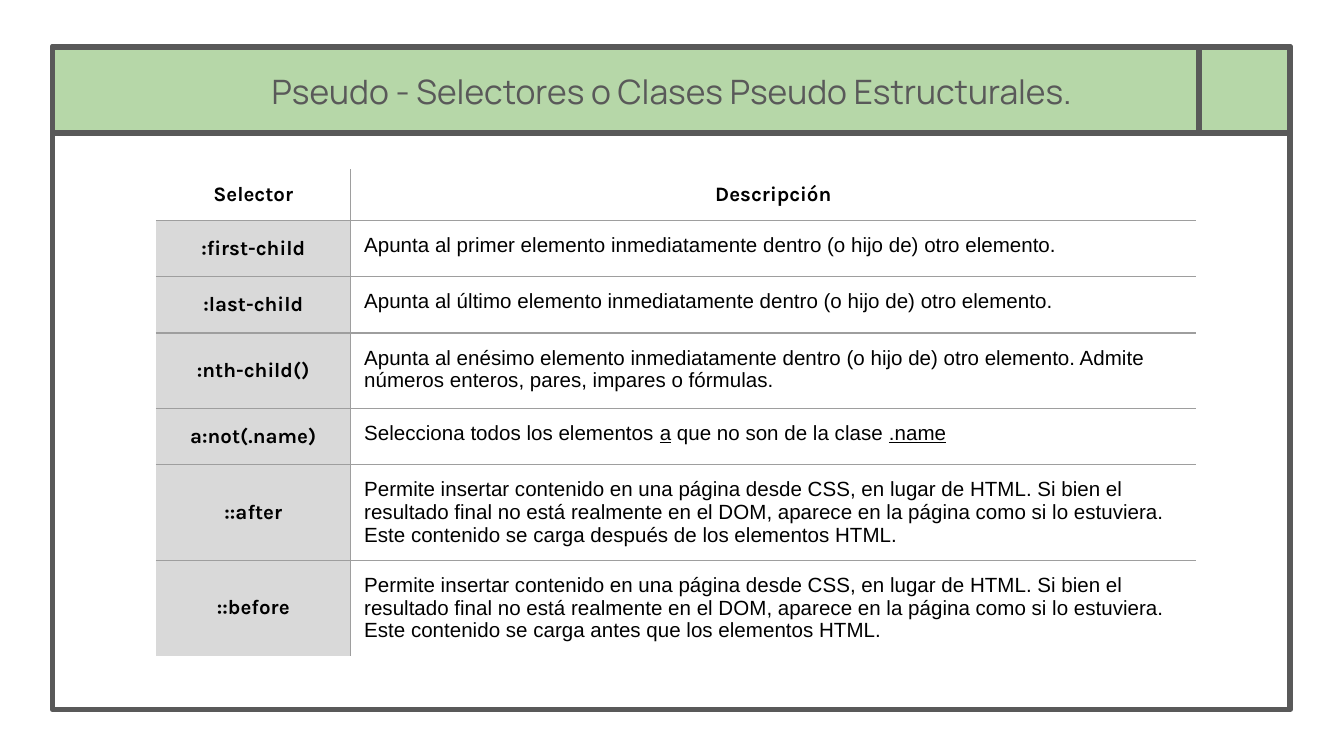
import pptx
import pptx.dml.color
import pptx.enum.shapes
import pptx.enum.text
import pptx.oxml
import pptx.oxml.ns
import pptx.util

Inches = pptx.util.Inches
Pt = pptx.util.Pt
Anchor = pptx.enum.text.MSO_ANCHOR
Align = pptx.enum.text.PP_ALIGN

PAGE_WIDTH = 10
PAGE_HEIGHT = PAGE_WIDTH * 9 / 16
DARK, GREEN, GRAY, RULE, WHITE, BLACK = "595959", "B6D7A8", "D9D9D9", "9E9E9E", "FFFFFF", "000000"
TITLE = "Pseudo - Selectores o Clases Pseudo Estructurales."
INSERTED = (
    "Permite insertar contenido en una página desde CSS, en lugar de HTML. "
    "Si bien el resultado final no está realmente en el DOM, aparece en la página "
    "como si lo estuviera. Este contenido se carga {} los elementos HTML."
)
CHILD = "Apunta al {} elemento inmediatamente dentro (o hijo de) otro elemento."

ROWS = [
    (0.35, "Selector", ["Descripción"]),
    (0.42, ":first-child", [CHILD.format("primer")]),
    (0.42, ":last-child", [CHILD.format("último")]),
    (0.56, ":nth-child()", [CHILD.format("enésimo") + " Admite números enteros, pares, impares o fórmulas."]),
    (0.42, "a:not(.name)", ["Selecciona todos los elementos ", "a", " que no son de la clase ", ".name"]),
    (0.71, "::after", [INSERTED.format("después de")]),
    (0.71, "::before", [INSERTED.format("antes que")]),
]
COLUMNS = [1.45, 6.29]
FRAMES = [
    (0.39, 0.35, 9.21, 4.93, WHITE),
    (0.39, 0.35, 8.53, 0.64, GREEN),
    (8.92, 0.35, 0.68, 0.64, GREEN),
]


def color(value):
    return pptx.dml.color.RGBColor.from_string(value)


def style(font, name, size, value, bold=False):
    font.name, font.size, font.bold = name, Pt(size), bold
    font.color.rgb = color(value)


def add_frame(page, left, top, width, height, fill):
    box = page.shapes.add_shape(
        pptx.enum.shapes.MSO_SHAPE.RECTANGLE, Inches(left), Inches(top), Inches(width), Inches(height)
    )
    box.shadow.inherit = False
    box.fill.solid()
    box.fill.fore_color.rgb = color(fill)
    box.line.color.rgb = color(DARK)
    box.line.width = Pt(3)


def set_borders(cell, visible):
    properties = cell._tc.get_or_add_tcPr()
    for side in "LRTB":
        paint = f'<a:solidFill><a:srgbClr val="{RULE}"/></a:solidFill>' if side in visible else "<a:noFill/>"
        properties.append(pptx.oxml.parse_xml(
            f'<a:ln{side} {pptx.oxml.ns.nsdecls("a")} w="{Pt(0.75)}">{paint}</a:ln{side}>'
        ))


def fill_cell(cell, pieces, header, selector):
    cell.margin_left = cell.margin_right = cell.margin_top = cell.margin_bottom = Inches(0.1)
    cell.vertical_anchor = Anchor.MIDDLE if selector and not header else Anchor.TOP
    strong = header or selector
    para = cell.text_frame.paragraphs[0]
    para.alignment = Align.CENTER if strong else Align.LEFT
    for index, piece in enumerate(pieces):
        span = para.add_run()
        span.text = piece
        style(span.font, "Karla" if strong else "Arial", 11, BLACK, strong)
        span.font.underline = index % 2 == 1
    if selector and not header:
        cell.fill.solid()
        cell.fill.fore_color.rgb = color(GRAY)
    else:
        cell.fill.background()


def add_selectors(page):
    heights = [row[0] for row in ROWS]
    table = page.shapes.add_table(
        len(ROWS), len(COLUMNS), Inches(1.16), Inches(1.26), Inches(sum(COLUMNS)), Inches(sum(heights))
    ).table
    table.first_row = table.horz_banding = False
    for column, width in zip(table.columns, COLUMNS):
        column.width = Inches(width)
    for index, (height, selector, description) in enumerate(ROWS):
        table.rows[index].height = Inches(height)
        across = ("T" if index > 0 else "") + ("B" if index < len(ROWS) - 1 else "")
        for position, pieces in enumerate(([selector], description)):
            cell = table.cell(index, position)
            set_borders(cell, across + "RL"[position])
            fill_cell(cell, pieces, index == 0, position == 0)


def add_title(page):
    title = page.shapes.title
    page.shapes._spTree.append(title._element)
    title.left, title.top, title.width, title.height = Inches(1.22), Inches(0.43), Inches(7.56), Inches(0.5)
    frame = title.text_frame
    frame.text = TITLE
    frame.auto_size = pptx.enum.text.MSO_AUTO_SIZE.NONE
    frame.vertical_anchor = Anchor.MIDDLE
    frame.margin_left = frame.margin_right = frame.margin_top = frame.margin_bottom = 0
    para = frame.paragraphs[0]
    para.alignment = Align.CENTER
    style(para.runs[0].font, "Manrope", 18, DARK)


def main():
    deck = pptx.Presentation()
    deck.slide_width, deck.slide_height = Inches(PAGE_WIDTH), Inches(PAGE_HEIGHT)
    page = deck.slides.add_slide(deck.slide_layouts[5])
    for frame in FRAMES:
        add_frame(page, *frame)
    add_title(page)
    add_selectors(page)
    deck.save("out.pptx")


if __name__ == "__main__":
    main()
